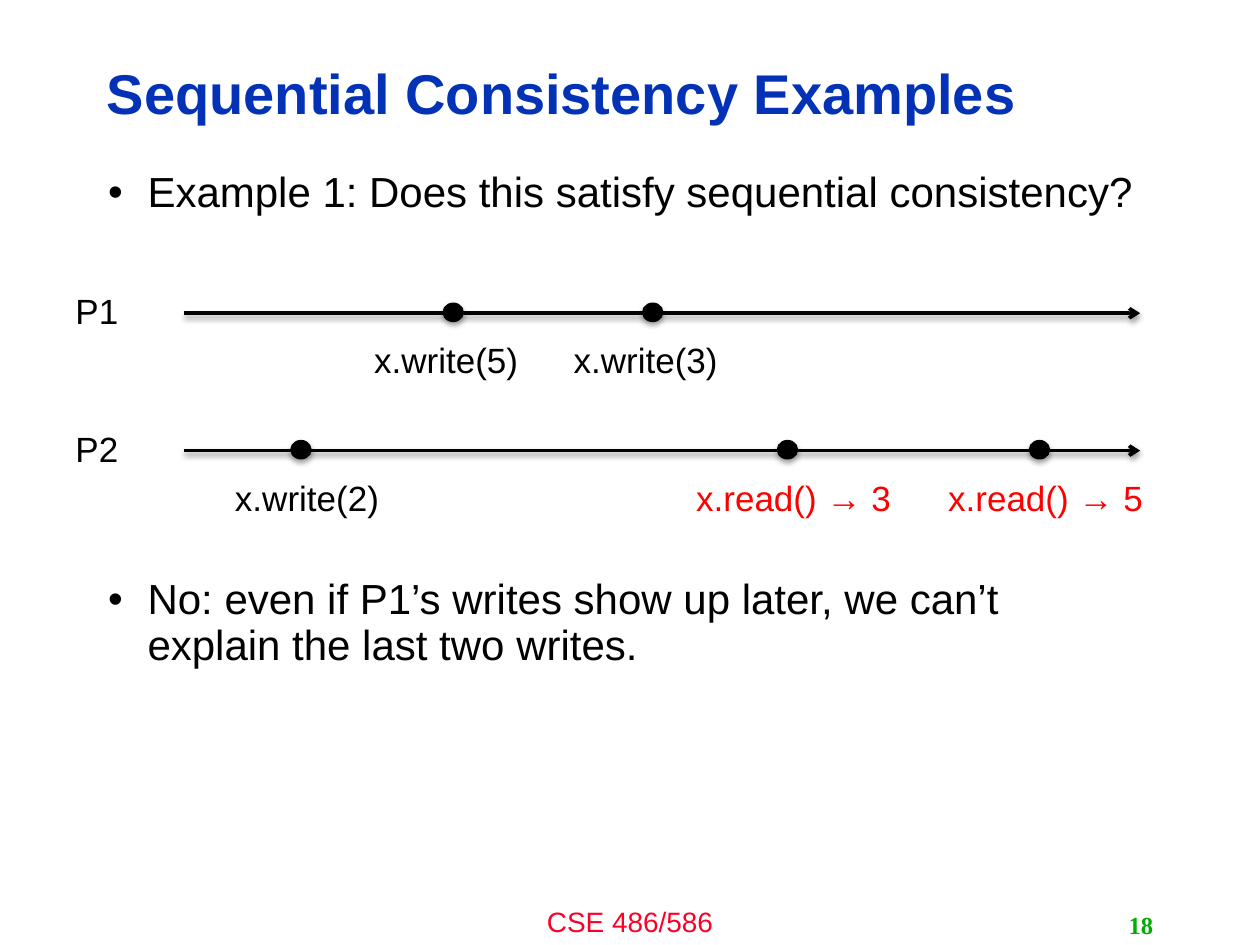
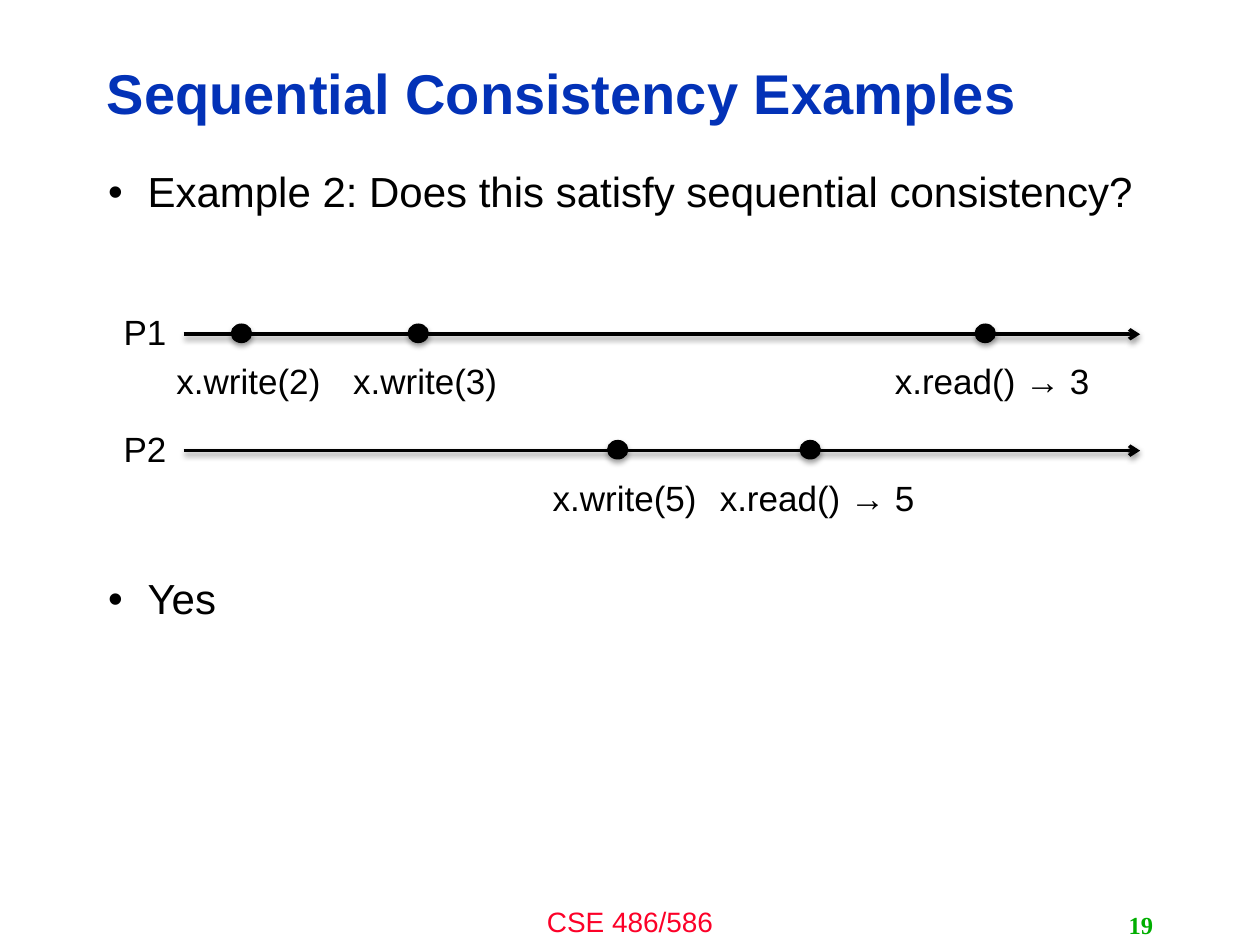
from lxml import etree
from pptx import Presentation
from pptx.dml.color import RGBColor
from pptx.enum import shapes, text
from pptx.oxml import ns
from pptx.util import Pt

BLACK = RGBColor(0x00, 0x00, 0x00)
BLUE = RGBColor(0x03, 0x32, 0xB7)
RED = RGBColor(0xFF, 0x00, 0x00)
CRIMSON = RGBColor(0xFC, 0x01, 0x28)
GREEN = RGBColor(0x00, 0xAE, 0x00)

TITLE_BOX = (54, 26, 574.5, 58)
BODY_BOX = (54.7, 94.5, 605, 388)
FOOTER_BOX = (240, 513.5, 240, 26.5)
NUMBER_BOX = (516, 517, 150, 23)
AXIS_LEFT, AXIS_WIDTH = 105, 546.5
DOT_W, DOT_H = 11.5, 10.5
LABEL_W, LABEL_H = 247, 31.5
NAME_W = 68.5
INDENT = 22.5
ANSWER_GAP = 206.7

EXAMPLES = [
    dict(number=18,
         question="Example 1: Does this satisfy sequential consistency?",
         answer="No: even if P1’s writes show up later, we can’t explain the last two writes.",
         name_left=36,
         lanes=[("P1", 179, -4, [(259, "x.write(5)", BLACK), (373, "x.write(3)", BLACK)]),
                ("P2", 257.5, 3.5, [(172, "x.write(2)", BLACK), (450, "x.read() → 3", RED),
                                    (594, "x.read() → 5", RED)])]),
    dict(number=19,
         question="Example 2: Does this satisfy sequential consistency?",
         answer="Yes",
         name_left=63.5,
         lanes=[("P1", 191, 4, [(138, "x.write(2)", BLACK), (239, "x.write(3)", BLACK),
                                (563, "x.read() → 3", BLACK)]),
                ("P2", 257.5, 4, [(353, "x.write(5)", BLACK), (463, "x.read() → 5", BLACK)])]),
]


def add_run(p, words, size, color, font="Arial", bold=False):
    """Append one formatted run to a paragraph."""
    r = p.add_run()
    r.text = words
    r.font.size = Pt(size)
    r.font.name = font
    r.font.bold = bold
    r.font.color.rgb = color


def add_frame(s, box, anchor=text.MSO_ANCHOR.TOP):
    """Add a wrapping text box and return its text frame."""
    tf = s.shapes.add_textbox(*map(Pt, box)).text_frame
    tf.word_wrap = True
    tf.vertical_anchor = anchor
    return tf


def add_label(s, box, words, size, color, align=text.PP_ALIGN.LEFT,
              anchor=text.MSO_ANCHOR.TOP, **style):
    """Add a one-paragraph text box."""
    p = add_frame(s, box, anchor).paragraphs[0]
    p.alignment = align
    add_run(p, words, size, color, **style)
    return p


def add_shadow(sp, distance, opacity):
    """Give a shape or connector a soft shadow below it."""
    props = sp._element.spPr
    effects = etree.SubElement(props, ns.qn("a:effectLst"))
    shadow = etree.SubElement(effects, ns.qn("a:outerShdw"), blurRad=str(Pt(3.1)),
                              dist=str(Pt(distance)), dir="5400000", rotWithShape="0")
    color = etree.SubElement(shadow, ns.qn("a:srgbClr"), val=str(BLACK))
    etree.SubElement(color, ns.qn("a:alpha"), val=str(opacity * 1000))


def add_bullets(s, box, items):
    """Add bulleted paragraphs, each with its space before."""
    tf = add_frame(s, box)
    for i, (words, gap) in enumerate(items):
        p = tf.add_paragraph() if i else tf.paragraphs[0]
        p.line_spacing = 0.9
        p.space_before = Pt(gap)
        props = p._p.get_or_add_pPr()
        props.set("marL", str(Pt(INDENT)))
        props.set("indent", str(-Pt(INDENT)))
        etree.SubElement(props, ns.qn("a:buFont"), typeface="Arial")
        etree.SubElement(props, ns.qn("a:buChar"), char="•")
        add_run(p, words, 24, BLACK)


def add_axis(s, left, y, width):
    """Add a time axis with an arrowhead at its right end."""
    sp = s.shapes.add_connector(shapes.MSO_CONNECTOR.STRAIGHT,
                                Pt(left), Pt(y), Pt(left + width), Pt(y))
    sp.line.color.rgb = BLACK
    sp.line.width = Pt(2)
    etree.SubElement(sp.line._get_or_add_ln(), ns.qn("a:tailEnd"), type="arrow")
    add_shadow(sp, 1.6, 38)


def add_event(s, x, y, shift, words, color):
    """Add a dot on the axis and its operation underneath."""
    sp = s.shapes.add_shape(shapes.MSO_SHAPE.OVAL, Pt(x - DOT_W / 2),
                            Pt(y - 0.5 - DOT_H / 2), Pt(DOT_W), Pt(DOT_H))
    sp.fill.solid()
    sp.fill.fore_color.rgb = BLACK
    sp.line.color.rgb = BLACK
    sp.line.width = Pt(0.75)
    add_shadow(sp, 1.8, 35)
    add_label(s, (x + shift - LABEL_W / 2, y + 11, LABEL_W, LABEL_H), words, 20, color,
              text.PP_ALIGN.CENTER)


def add_lane(s, name_left, name, y, shift, events):
    """Add one process with its name, time axis and events."""
    add_axis(s, AXIS_LEFT, y, AXIS_WIDTH)
    add_label(s, (name_left, y - 17, NAME_W, LABEL_H), name, 20, BLACK)
    for x, words, color in events:
        add_event(s, x, y, shift, words, color)


def add_furniture(s, number):
    """Add the title, footer and page number."""
    middle = text.MSO_ANCHOR.MIDDLE
    add_label(s, FOOTER_BOX, "CSE 486/586", 16, CRIMSON, text.PP_ALIGN.CENTER)
    p = add_label(s, TITLE_BOX, "Sequential Consistency Examples", 32, BLUE,
                  anchor=middle, bold=True)
    p.line_spacing = 0.9
    add_label(s, NUMBER_BOX, str(number), 14, GREEN, text.PP_ALIGN.RIGHT, middle,
              font="Times New Roman", bold=True)


def add_example(prs, number, question, answer, name_left, lanes):
    """Add a slide with a question, a timeline diagram and the answer."""
    s = prs.slides.add_slide(prs.slide_layouts[6])
    add_furniture(s, number)
    add_bullets(s, BODY_BOX, [(question, 0), (answer, ANSWER_GAP)])
    for lane in lanes:
        add_lane(s, name_left, *lane)


def main():
    """Build and save the presentation."""
    prs = Presentation()
    prs.slide_width, prs.slide_height = Pt(720), Pt(540)
    for example in EXAMPLES:
        add_example(prs, **example)
    prs.save("out.pptx")


if __name__ == "__main__":
    main()
